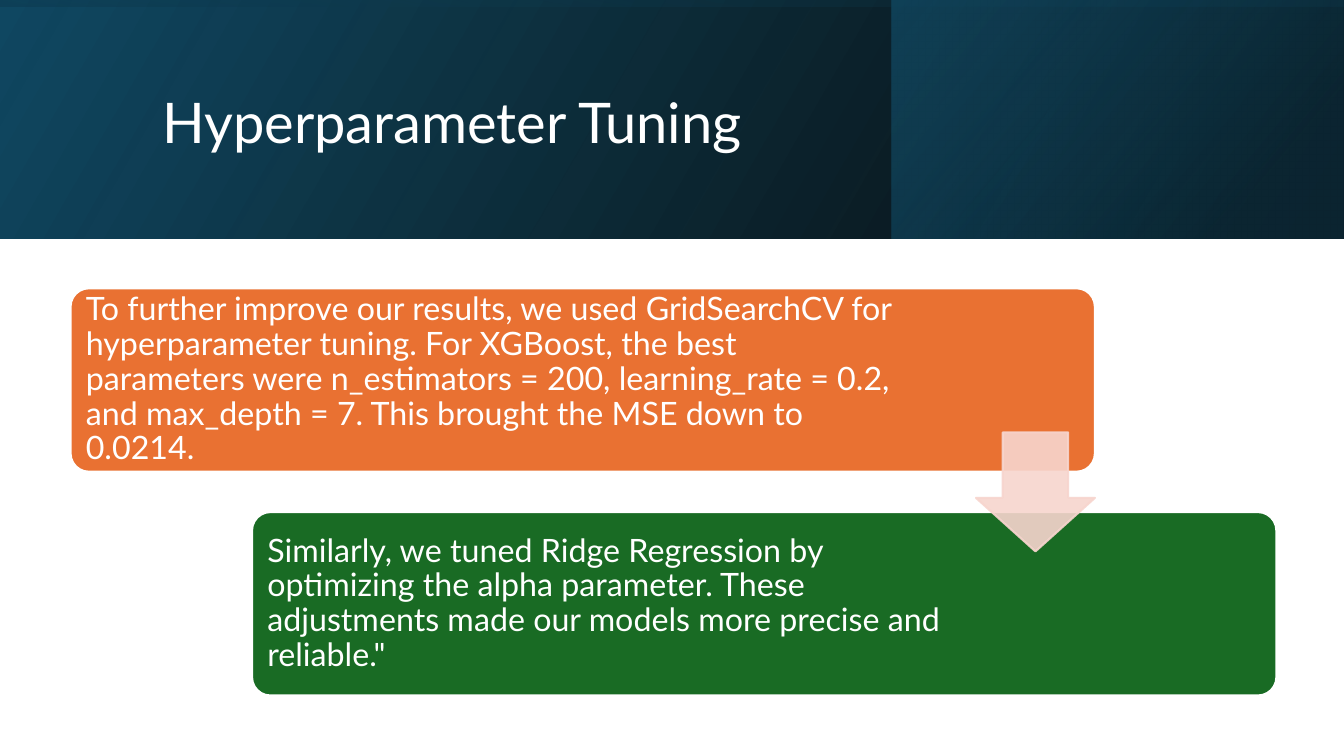
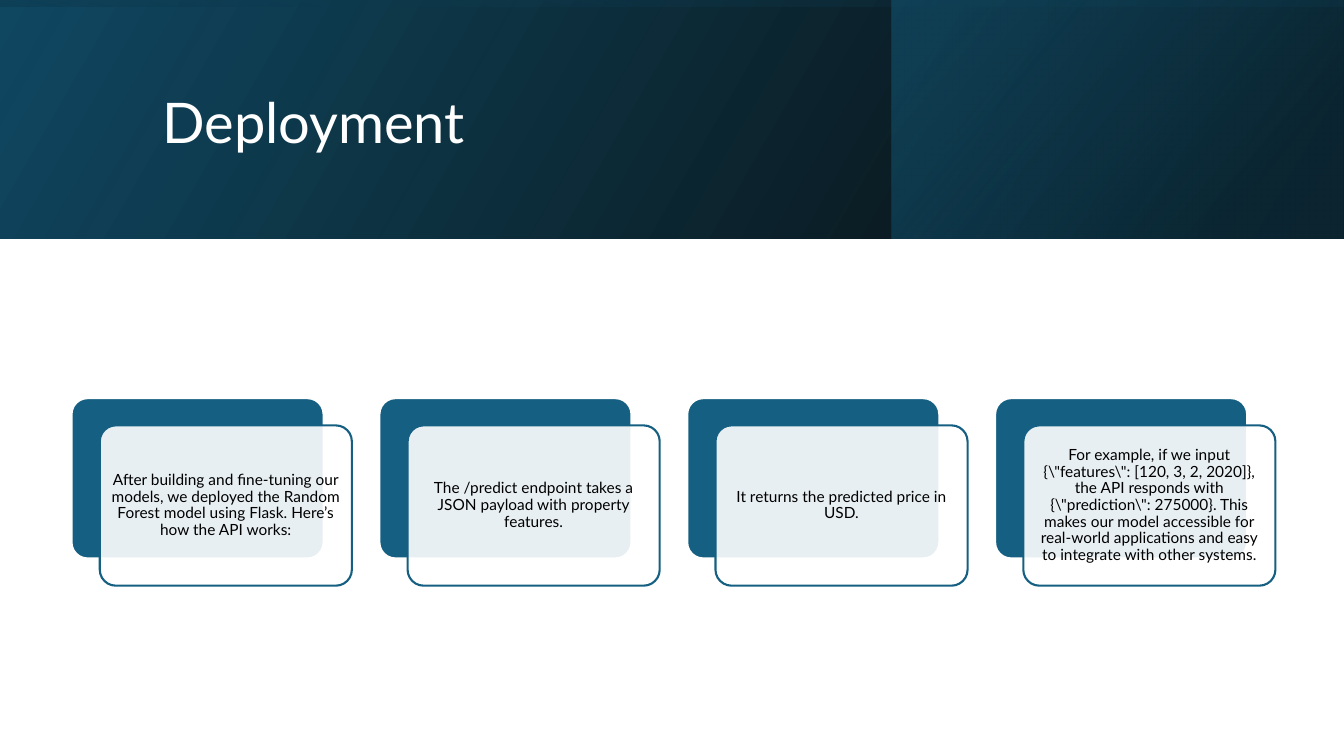
import pptx
import pptx.dml.color
import pptx.enum.shapes
import pptx.enum.text
import pptx.oxml
import pptx.oxml.ns
import pptx.util
from lxml import etree

Inches = pptx.util.Inches
RGBColor = pptx.dml.color.RGBColor
Shape = pptx.enum.shapes.MSO_SHAPE
Align = pptx.enum.text.PP_ALIGN
qn = pptx.oxml.ns.qn

WHITE = RGBColor(0xFF, 0xFF, 0xFF)
BLACK = RGBColor(0x00, 0x00, 0x00)
NAVY = RGBColor(0x10, 0x48, 0x62)
DEEP = RGBColor(0x0B, 0x30, 0x41)
TEAL = RGBColor(0x15, 0x60, 0x82)
ORANGE = RGBColor(0xE9, 0x71, 0x32)
GREEN = RGBColor(0x19, 0x6B, 0x24)
BLUSH = RGBColor(0xF7, 0xD5, 0xCE)

FONT = "Lato"
WIDTH, HEIGHT, BAND = 13.33, 7.5, 2.37
MIDDLE = (WIDTH - BAND) / 2

BANDS = [
    ((0, 0, WIDTH, BAND), 0, 330, [(0, BLACK, 96), (100, NAVY, 100)]),
    ((8.84, 0, 4.48, BAND), 0, 320, [(19, DEEP, 68), (100, TEAL, 48)]),
    ((MIDDLE, -MIDDLE, BAND, WIDTH), 270, 350, [(23, NAVY, 16), (99, BLACK, 45)]),
]

STEPS = [
    ("To further improve our results, we used GridSearchCV for hyperparameter tuning. "
     "For XGBoost, the best parameters were n_estimators = 200, learning_rate = 0.2, "
     "and max_depth = 7. This brought the MSE down to 0.0214.", ORANGE, 1.87),
    ("Similarly, we tuned Ridge Regression by optimizing the alpha parameter. "
     "These adjustments made our models more precise and reliable.\"", GREEN, 3.07),
]

CARDS = [
    "After building and fine-tuning our models, we deployed the Random Forest model "
    "using Flask. Here’s how the API works:",
    "The /predict endpoint takes a JSON payload with property features.",
    "It returns the predicted price in USD.",
    r'For example, if we input {\"features\": [120, 3, 2, 2020]}, the API responds with '
    r'{\"prediction\": 275000}. This makes our model accessible for real-world '
    "applications and easy to integrate with other systems.",
]


def write(frame, text, size, color=WHITE, align=Align.LEFT, margin=0.1, right=None):
    frame.word_wrap = True
    frame.auto_size = pptx.enum.text.MSO_AUTO_SIZE.NONE
    frame.vertical_anchor = pptx.enum.text.MSO_ANCHOR.MIDDLE
    frame.margin_left = frame.margin_top = frame.margin_bottom = Inches(margin)
    frame.margin_right = Inches(margin if right is None else right)
    para = frame.paragraphs[0]
    para.alignment = align
    para.line_spacing = 0.9
    span = para.add_run()
    span.text = text
    span.font.name = FONT
    span.font.size = pptx.util.Pt(size)
    span.font.color.rgb = color


def set_opacity(fill_parent, percent):
    color = fill_parent.find(qn("a:solidFill")).find(qn("a:srgbClr"))
    etree.SubElement(color, qn("a:alpha"), val=str(percent * 1000))


class Deck:
    def __init__(self):
        self.deck = pptx.Presentation()
        self.deck.slide_width = Inches(WIDTH)
        self.deck.slide_height = Inches(HEIGHT)
        self.page = None

    def add_page(self, title):
        self.page = self.deck.slides.add_slide(self.deck.slide_layouts[5])
        for place, rotation, angle, stops in BANDS:
            self.band(place, rotation, angle, stops)
        box = self.page.shapes.title
        box.left, box.top, box.width, box.height = map(Inches, (1.51, 0.38, 10.63, 1.72))
        write(box.text_frame, title, size=40)
        box.element.getparent().append(box.element)

    def shape(self, kind, place, adjustments=()):
        shape = self.page.shapes.add_shape(kind, *map(Inches, place))
        shape.shadow.inherit = False
        for index, value in enumerate(adjustments):
            shape.adjustments[index] = value
        return shape

    def band(self, place, rotation, angle, stops):
        band = self.shape(Shape.RECTANGLE, place)
        band.rotation = rotation
        band.line.fill.background()
        marks = "".join(
            f'<a:gs pos="{position * 1000}"><a:srgbClr val="{color}">'
            f'<a:alpha val="{opacity * 1000}"/></a:srgbClr></a:gs>'
            for position, color, opacity in stops)
        gradient = pptx.oxml.parse_xml(
            f'<a:gradFill {pptx.oxml.ns.nsdecls("a")} rotWithShape="1">'
            f'<a:gsLst>{marks}</a:gsLst>'
            f'<a:lin ang="{angle * 60000}" scaled="0"/></a:gradFill>')
        properties = band.element.spPr
        properties.insert(2, gradient)
        properties.find(qn("a:xfrm")).set("flipH", "1")

    def block(self, place, fill, line=WHITE, opacity=100, kind=Shape.ROUNDED_RECTANGLE,
              adjustments=(0.1,), line_opacity=100):
        block = self.shape(kind, place, adjustments)
        block.fill.solid()
        block.fill.fore_color.rgb = fill
        block.line.color.rgb = line
        block.line.width = pptx.util.Pt(1.5)
        properties = block.element.spPr
        if opacity < 100:
            set_opacity(properties, opacity)
        if line_opacity < 100:
            set_opacity(properties.find(qn("a:ln")), line_opacity)
        return block

    def step(self, index, text, fill, right):
        place = (0.7 + 1.8 * index, 2.86 + 2.22 * index, 10.16, 1.82)
        write(self.block(place, fill).text_frame, text, size=23, right=right)

    def arrow(self, place):
        self.block(place, BLUSH, line=BLUSH, opacity=90, line_opacity=90,
                   kind=Shape.DOWN_ARROW, adjustments=(0.55, 0.45))

    def card(self, left, text):
        top, width, height = 3.95, 2.5, 1.59
        self.block((left, top, width, height), TEAL)
        front = self.block((left + 0.28, top + 0.27, width, height), WHITE,
                           line=TEAL, opacity=90)
        write(front.text_frame, text, size=11, color=BLACK, align=Align.CENTER, margin=0.05)


def main():
    deck = Deck()

    deck.add_page("Hyperparameter Tuning")
    for index, (text, fill, right) in enumerate(STEPS):
        deck.step(index, text, fill, right)
    deck.arrow((9.68, 4.29, 1.18, 1.18))

    deck.add_page("Deployment")
    first, last = 0.71, 9.87
    pitch = (last - first) / (len(CARDS) - 1)
    for index, text in enumerate(CARDS):
        deck.card(first + pitch * index, text)

    deck.deck.save("out.pptx")


if __name__ == "__main__":
    main()
